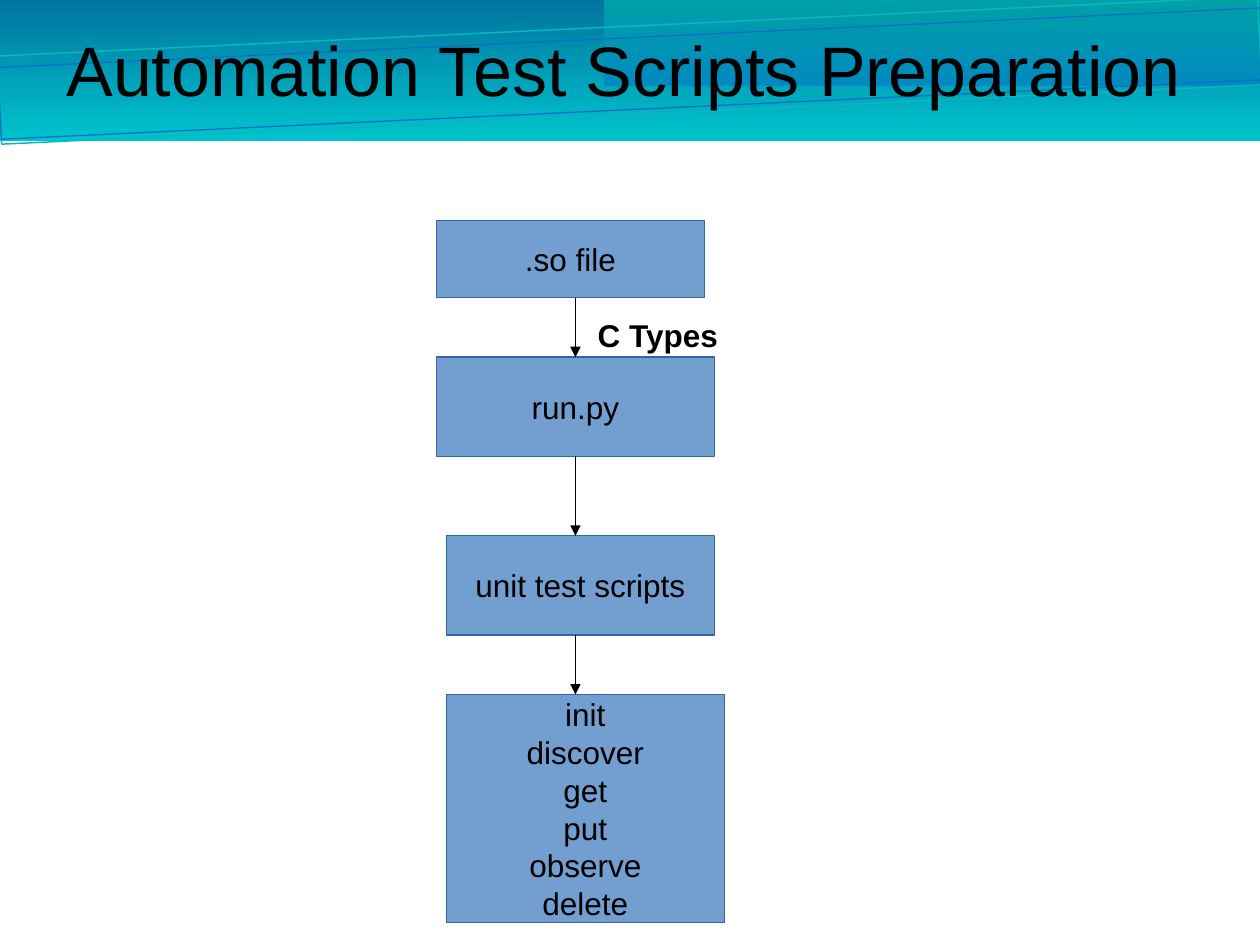
from lxml import etree
from pptx import Presentation
from pptx.dml.color import RGBColor
from pptx.enum.shapes import MSO_CONNECTOR, MSO_SHAPE
from pptx.enum.text import MSO_ANCHOR, PP_ALIGN
from pptx.oxml.ns import qn
from pptx.util import Cm, Pt

FONT = "Arial"
ARROW_X = 11.6
# left, top, width, height in cm, then the lines of text
STEPS = [
    (8.8, 4.45, 5.4, 1.55, [".so file"]),
    (8.8, 7.2, 5.6, 2, ["run.py"]),
    (9, 10.8, 5.4, 2, ["unit test scripts"]),
    (9, 14, 5.6, 4.6, ["init", "discover", "get", "put", "observe", "delete"]),
]


def color(hex_string):
    """Turn a hex string into a colour."""
    return RGBColor.from_string(hex_string)


def write(frame, lines, size, align, bold=False):
    """Write one paragraph per line in a text frame."""
    for i, line in enumerate(lines):
        paragraph = frame.paragraphs[0] if i == 0 else frame.add_paragraph()
        paragraph.alignment = align
        run = paragraph.add_run()
        run.text = line
        run.font.name = FONT
        run.font.size = Pt(size)
        run.font.bold = bold
        run.font.color.rgb = color("000000")


def add_rect(slide, left, top, width, height):
    """Add a rectangle without shadow."""
    rect = slide.shapes.add_shape(
        MSO_SHAPE.RECTANGLE, Cm(left), Cm(top), Cm(width), Cm(height))
    rect.shadow.inherit = False
    return rect


def set_line(line, hex_string, width):
    """Give a line its colour and width."""
    line.color.rgb = color(hex_string)
    line.width = Pt(width)


def add_band(slide, box, start, end, angle):
    """Add a header band with a two-colour gradient."""
    band = add_rect(slide, *box)
    band.line.fill.background()
    band.fill.gradient()
    band.fill.gradient_angle = angle
    for stop, position, shade in zip(band.fill.gradient_stops, (0, 1), (start, end)):
        stop.position = position
        stop.color.rgb = color(shade)


def add_tilted_outline(slide, box, hex_string, width):
    """Add a slightly rotated, unfilled header frame."""
    outline = add_rect(slide, *box)
    outline.fill.background()
    outline.rotation = 357.3
    set_line(outline.line, hex_string, width)


def add_title(slide, text):
    """Place the title in front of the header."""
    title = slide.shapes.title
    title.left, title.top, title.width, title.height = (
        Cm(1.14), Cm(-0.2), Cm(22.86), Cm(3.18))
    frame = title.text_frame
    frame.margin_left = frame.margin_right = frame.margin_top = frame.margin_bottom = 0
    frame.vertical_anchor = MSO_ANCHOR.MIDDLE
    write(frame, [text], 40, PP_ALIGN.CENTER)
    title.element.getparent().append(title.element)


def add_step(slide, left, top, width, height, lines):
    """Add one box of the flow."""
    step = add_rect(slide, left, top, width, height)
    step.fill.solid()
    step.fill.fore_color.rgb = color("729FCF")
    set_line(step.line, "3465A4", 0.75)
    step.text_frame.word_wrap = False
    step.text_frame.vertical_anchor = MSO_ANCHOR.MIDDLE
    write(step.text_frame, lines, 18, PP_ALIGN.CENTER)


def add_arrow(slide, top, bottom):
    """Add a downward arrow between two steps."""
    arrow = slide.shapes.add_connector(
        MSO_CONNECTOR.STRAIGHT, Cm(ARROW_X), Cm(top), Cm(ARROW_X), Cm(bottom))
    set_line(arrow.line, "000000", 0.75)
    properties = arrow.element.spPr
    etree.SubElement(properties.find(qn("a:ln")), qn("a:tailEnd"), type="triangle")
    etree.SubElement(properties, qn("a:effectLst"))


def add_label(slide, left, top, width, height, text):
    """Add a bold label beside an arrow."""
    label = slide.shapes.add_textbox(Cm(left), Cm(top), Cm(width), Cm(height))
    label.text_frame.word_wrap = True
    write(label.text_frame, [text], 18, PP_ALIGN.LEFT, bold=True)


def main():
    """Build the slide and save it."""
    deck = Presentation()
    deck.slide_width, deck.slide_height = Cm(25.4), Cm(19.05)
    slide = deck.slides.add_slide(deck.slide_layouts[5])

    add_band(slide, (-0.02, -0.02, 25.43, 2.87), "0074A0", "00C4CD", 270)
    add_band(slide, (12.17, -0.02, 13.23, 1.75), "008ABF", "00A0A8", 90)
    add_tilted_outline(slide, (-0.02, 0.53, 25.43, 1.78), "09B7BF", 0.85)
    add_tilted_outline(slide, (-0.02, 0.76, 25.48, 1.45), "0F6FC6", 0.74)
    add_title(slide, "Automation Test Scripts Preparation")

    for step in STEPS:
        add_step(slide, *step)
    for upper, lower in zip(STEPS, STEPS[1:]):
        add_arrow(slide, upper[1] + upper[3], lower[1])
    add_label(slide, 11.8, 6.25, 3.8, 0.97, "C Types")

    deck.save("out.pptx")


main()
